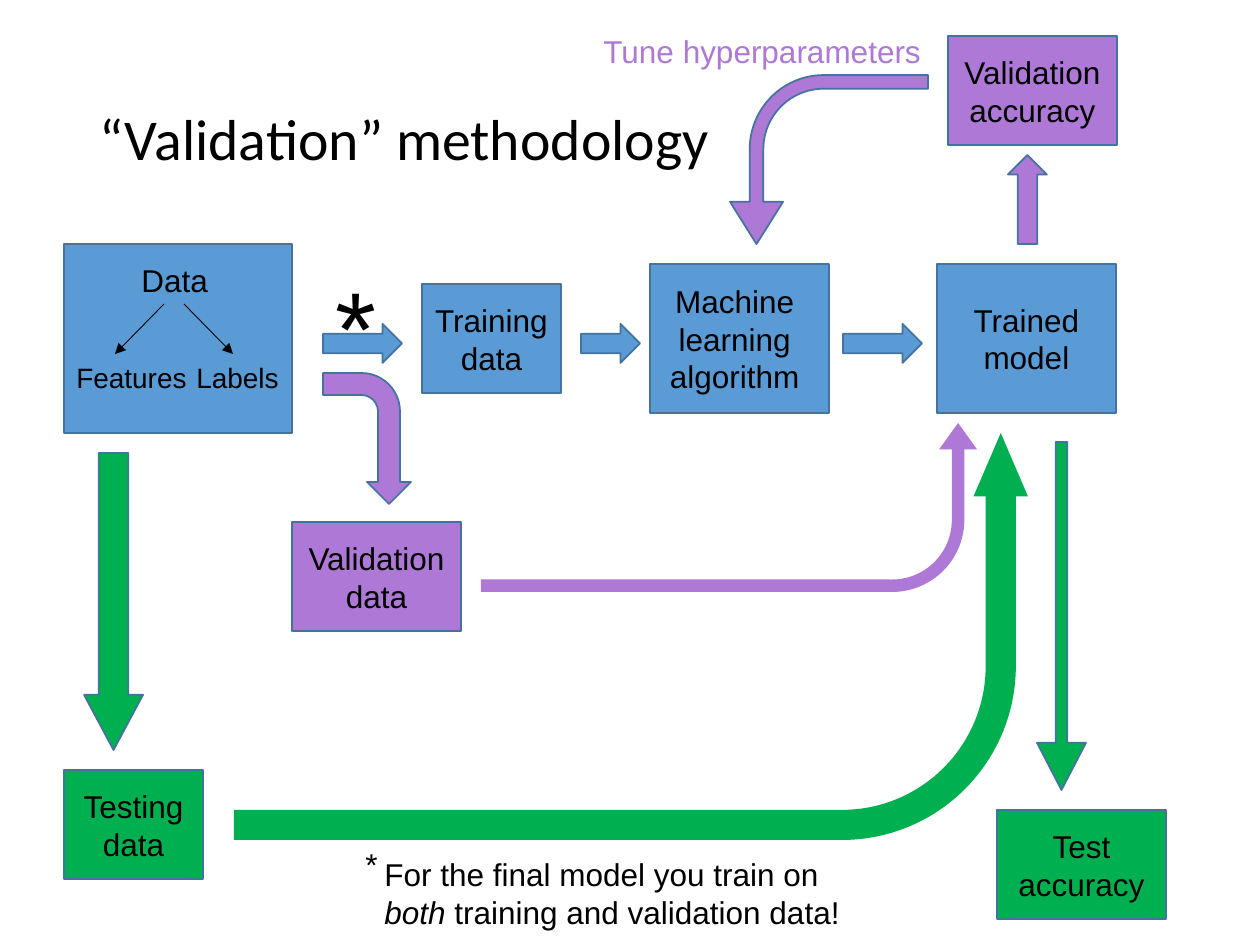
from lxml import etree
from pptx import Presentation
from pptx import util as u
from pptx.dml import color
from pptx.enum import shapes, text
from pptx.oxml import ns

EMU_PER_PIXEL = 914400 / 126
BLUE, PURPLE, GREEN = "5B9BD5", "AE78D6", "00B050"
OUTLINE, BLACK = "43739E", "000000"
SHAPE = shapes.MSO_SHAPE
CENTER = text.PP_ALIGN.CENTER
MIDDLE = text.MSO_ANCHOR.MIDDLE


def px(pixels):
    return u.Emu(round(pixels * EMU_PER_PIXEL))


def paint(target, value):
    """Set a fill or line fill to a solid hex colour, or clear it."""
    if value is None:
        target.background()
    else:
        target.solid()
        target.fore_color.rgb = color.RGBColor.from_string(value)


def write(frame, *spans, size=18, font="Arial", ink=BLACK, align=None,
          anchor=text.MSO_ANCHOR.TOP, wrap=True, spacing=None):
    """Write one paragraph; a span is a string or an (italic string,) tuple."""
    frame.word_wrap = wrap
    frame.vertical_anchor = anchor
    para = frame.paragraphs[0]
    para.alignment = align
    para.line_spacing = spacing
    for part in spans:
        span = para.add_run()
        span.text = part if isinstance(part, str) else part[0]
        span.font.italic = not isinstance(part, str)
        span.font.size = u.Pt(size)
        span.font.name = font
        paint(span.font.fill, ink)


class Diagram:
    def __init__(self, page):
        self.page = page

    def shape(self, kind, frame, fill, line=OUTLINE):
        shape = self.page.shapes.add_shape(kind, *map(px, frame))
        shape.shadow.inherit = False
        paint(shape.fill, fill)
        paint(shape.line.fill, line)
        if line:
            shape.line.width = u.Pt(1)
        return shape

    def box(self, label, frame, fill, right_inset=None):
        box = self.shape(SHAPE.RECTANGLE, frame, fill)
        if label:
            write(box.text_frame, label, align=CENTER, anchor=MIDDLE)
        if right_inset:
            box.text_frame.margin_right = px(right_inset)

    def label(self, frame, *spans, **style):
        box = self.page.shapes.add_textbox(*map(px, frame))
        write(box.text_frame, *spans, **style)

    def arrow(self, frame, fill, turn=0, bent=False, flip=False,
              adjust=(), line=OUTLINE):
        """Block arrow; frame is the area it covers after turning."""
        left, top, width, height = frame
        if turn:
            left += (width - height) / 2
            top += (height - width) / 2
            width, height = height, width
        kind = SHAPE.BENT_ARROW if bent else SHAPE.RIGHT_ARROW
        arrow = self.shape(kind, (left, top, width, height), fill, line)
        arrow.rotation = turn
        for index, value in enumerate(adjust):
            arrow.adjustments[index] = value
        if flip:
            arrow._element.spPr.find(ns.qn("a:xfrm")).set("flipV", "1")

    def thin_arrow(self, start, end):
        line = self.page.shapes.add_connector(
            shapes.MSO_CONNECTOR.STRAIGHT, *map(px, start + end))
        paint(line.line.fill, BLACK)
        line.line.width = u.Pt(0.5)
        outline = line.line._get_or_add_ln()
        etree.SubElement(outline, ns.qn("a:tailEnd"), type="triangle")
        etree.SubElement(line._element.spPr, ns.qn("a:effectLst"))


deck = Presentation()
deck.slide_width, deck.slide_height = px(1260), px(945)
diagram = Diagram(deck.slides.add_slide(deck.slide_layouts[6]))

# Title
diagram.label((87, 50, 1086, 183), "“Validation” methodology", size=33,
              font="Calibri", anchor=MIDDLE, spacing=0.9)

# Training row
diagram.box("Trained model", (937, 264, 179, 149), BLUE)
diagram.box("Training data", (422, 284, 139, 109), BLUE)
diagram.box("Machine learning algorithm", (650, 264, 179, 149), BLUE,
            right_inset=22)
for left, width in ((581, 59), (843, 79), (323, 79)):
    diagram.arrow((left, 324, width, 39), BLUE)

# Data split into features and labels
diagram.box(None, (64, 244, 228, 189), BLUE)
diagram.label((129, 255, 129, 50), "Data")
diagram.thin_arrow((164, 304), (115, 354))
diagram.thin_arrow((184, 304), (233, 354))
diagram.label((184, 354, 139, 47), "Labels", size=16)
diagram.label((64, 354, 139, 47), "Features", size=16)

# Hyperparameter tuning
diagram.arrow((1008, 155, 39, 89), PURPLE, turn=270)
diagram.arrow((730, 75, 198, 169), PURPLE, turn=90, bent=True, flip=True,
              adjust=(0.081, 0.157, 0.25, 0.438))
diagram.label((591, 26, 357, 50), "Tune hyperparameters", ink=PURPLE)
diagram.box("Validation accuracy", (948, 36, 169, 109), PURPLE)

# Testing
diagram.box("Testing data", (64, 770, 139, 109), GREEN)
diagram.arrow((234, 433, 794, 407), GREEN, turn=270, bent=True, flip=True,
              adjust=(0.074, 0.067, 0.156, 0.427), line=None)
diagram.box("Test accuracy", (997, 810, 169, 109), GREEN)
diagram.arrow((84, 453, 59, 297), GREEN, turn=90, adjust=(0.5, 0.935))
diagram.arrow((1037, 442, 49, 348), GREEN, turn=90, adjust=(0.235, 0.963))

# Validation
diagram.arrow((323, 373, 88, 131), PURPLE, turn=90, bent=True)
diagram.box("Validation data", (292, 522, 169, 109), PURPLE)
diagram.arrow((481, 423, 496, 169), PURPLE, turn=270, bent=True, flip=True,
              adjust=(0.074, 0.112, 0.156, 0.427), line=None)

# Footnote
diagram.label((323, 255, 67, 140), "*", size=60, wrap=False)
diagram.label((372, 849, 496, 89), "For the final model you train on ",
              ("both ",), "training and validation data!")
diagram.label((353, 839, 59, 50), "*")

deck.save("out.pptx")
